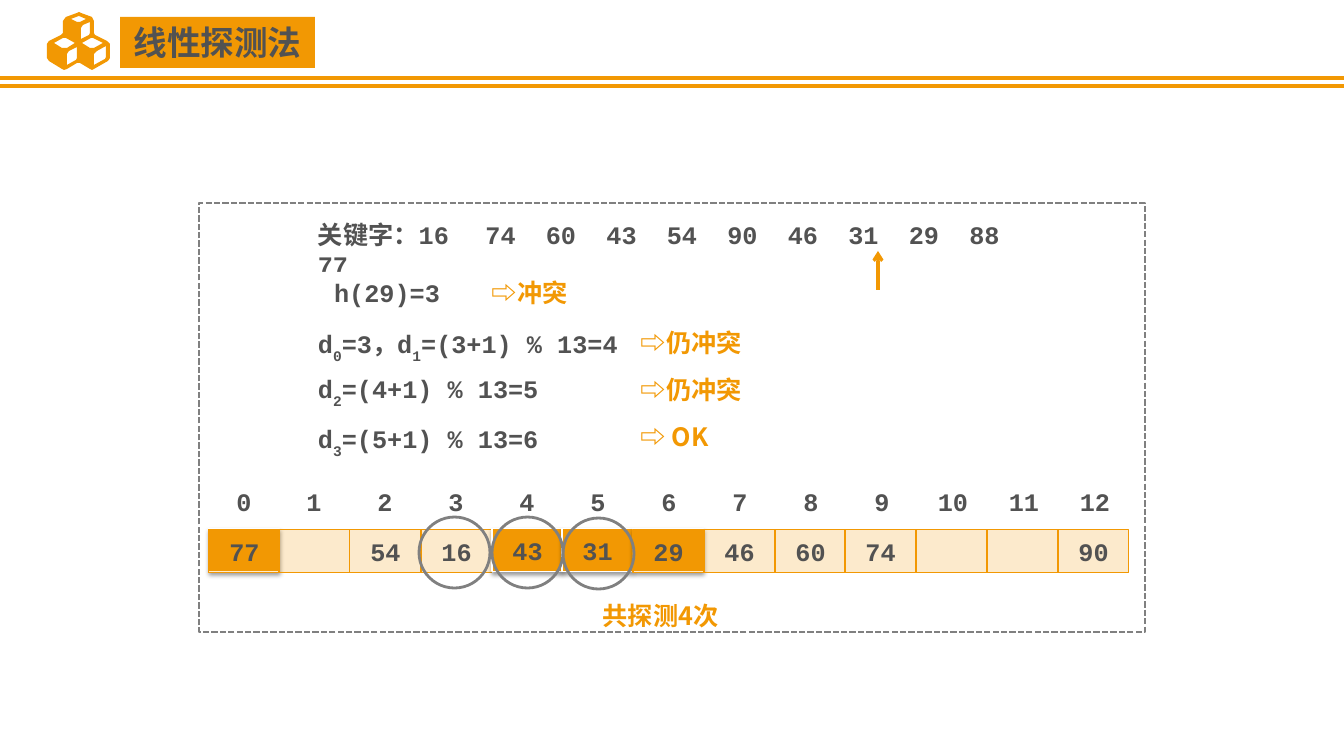
from lxml.etree import SubElement
from pptx import Presentation
from pptx.dml.color import RGBColor
from pptx.enum.dml import MSO_LINE
from pptx.enum.shapes import MSO_CONNECTOR, MSO_SHAPE
from pptx.enum.text import MSO_ANCHOR, MSO_AUTO_SIZE, PP_ALIGN
from pptx.oxml.ns import qn
from pptx.util import Pt

PX = 914400 / 100.8
ORANGE, GREY, RING, WHITE = "F29803", "525252", "808080", "FFFFFF"
MONO, HAN = "Courier New", "Noto Sans CJK SC"

# Content
TITLE = "线性探测法"
KEYS = "关键字：16\t74\t60\t43\t54\t90\t46\t31\t29\t88 77"
HASH = "h(29)=3"
TOTAL = "共探测4次"
SLOTS = ["77", "", "54", "16", "43", "31", "29", "46", "60", "74", "", "", "90"]
SOLID = [0, 4, 5, 6]    # strong orange cells
VEILED = [0, 6]         # strong cells under a pale one
# Every second piece is a subscript
STEPS = [
    (329, ["d", "0", "=3，d", "1", "=(3+1) % 13=4"]),
    (374, ["d", "2", "=(4+1) % 13=5"]),
    (424, ["d", "3", "=(5+1) % 13=6"]),
]
NOTES = [
    (482, 272, "⇨冲突"),
    (631, 322, "⇨仍冲突"),
    (631, 369, "⇨仍冲突"),
    (631, 416, "⇨ OK"),
]
RINGS = [(419, 517), (492, 517), (563, 518)]
RULES = [78, 86]
# Three stacked cubes: outline first, then the open faces
CUBES = [
    [(110, 44), (107, 41), (95, 35), (94, 33), (94, 21), (92, 17), (81, 13), (79, 12),
     (77, 13), (66, 17), (63, 21), (63, 33), (61, 35), (49, 41), (47, 44), (47, 58),
     (49, 61), (62, 69), (64, 70), (67, 69), (77, 63), (80, 63), (90, 69), (92, 70),
     (94, 69), (108, 61), (110, 58)],
    [(90, 33), (89, 35), (81, 39), (81, 28), (83, 25), (90, 22)],
    [(71, 19), (79, 16), (86, 19), (80, 22), (77, 22)],
    [(54, 43), (63, 38), (66, 38), (75, 43), (67, 48), (62, 48)],
    [(76, 60), (67, 65), (67, 54), (69, 51), (77, 47), (77, 58)],
    [(82, 43), (91, 38), (93, 38), (103, 43), (94, 48), (90, 48)],
    [(106, 57), (105, 59), (94, 65), (94, 54), (97, 51), (106, 46)],
]


def px(n):
    return round(n * PX)


def rgb(code):
    return RGBColor.from_string(code)


def write(shape, text, font=MONO, size=18, color=GREY, align=PP_ALIGN.LEFT,
          anchor=MSO_ANCHOR.TOP, wrap=True, inset=None, space=None, tabs=()):
    frame = shape.text_frame
    frame.auto_size = MSO_AUTO_SIZE.NONE
    frame.word_wrap = wrap
    frame.vertical_anchor = anchor
    if inset is not None:
        frame.margin_left = frame.margin_right = px(inset)
        frame.margin_top = frame.margin_bottom = px(inset)
    para = frame.paragraphs[0]
    para.alignment = align
    if space:
        para.line_spacing = space
    if tabs:
        stops = SubElement(para._p.get_or_add_pPr(), qn("a:tabLst"))
        for stop in tabs:
            SubElement(stops, qn("a:tab"), pos=str(px(stop)), algn="l")
    for i, piece in enumerate([text] if isinstance(text, str) else text):
        run = para.add_run()
        run.text = piece
        run.font.name, run.font.size, run.font.bold = font, Pt(size), True
        run.font.color.rgb = rgb(color)
        props = run._r.get_or_add_rPr()
        SubElement(props, qn("a:ea"), typeface=HAN)
        if i % 2:
            props.set("baseline", "-30000")


def paint(shape, fill=None, line=None, width=0.75, alpha=None):
    shape.shadow.inherit = False
    if fill:
        shape.fill.solid()
        shape.fill.fore_color.rgb = rgb(fill)
    else:
        shape.fill.background()
    if alpha:
        tint = shape._element.spPr.find(qn("a:solidFill"))[0]
        SubElement(tint, qn("a:alpha"), val=str(alpha * 1000))
    if line:
        shape.line.color.rgb = rgb(line)
        shape.line.width = Pt(width)
    else:
        shape.line.fill.background()


def draw(kind, x, y, w, h, **look):
    shape = shapes.add_shape(kind, px(x), px(y), px(w), px(h))
    paint(shape, **look)
    return shape


def label(x, y, w, h, text, **style):
    write(shapes.add_textbox(px(x), px(y), px(w), px(h)), text, **style)


def rule(x1, y1, x2, y2, width):
    line = shapes.add_connector(MSO_CONNECTOR.STRAIGHT, px(x1), px(y1), px(x2), px(y2))
    line.line.color.rgb = rgb(ORANGE)
    line.line.width = Pt(width)
    SubElement(line._element.spPr, qn("a:effectLst"))
    return line


def cell(i, strong, text):
    x = 209 + 849 * i // 12
    if strong:
        box = draw(MSO_SHAPE.RECTANGLE, x, 529, 71, 43, fill=ORANGE, line=WHITE)
        glow = box._element.spPr.find(qn("a:effectLst"))
        drop = SubElement(glow, qn("a:outerShdw"), blurRad="40000", dist="20000",
                          dir="5400000", rotWithShape="0")
        tint = SubElement(drop, qn("a:srgbClr"), val="000000")
        SubElement(tint, qn("a:alpha"), val="38000")
    else:
        box = draw(MSO_SHAPE.RECTANGLE, x, 530, 71, 43, fill=ORANGE, line=ORANGE, alpha=20)
    if text:
        write(box, text, align=PP_ALIGN.CENTER, anchor=MSO_ANCHOR.MIDDLE)


deck = Presentation()
deck.slide_width, deck.slide_height = px(1344), px(756)
slide = deck.slides.add_slide(deck.slide_layouts[5])
shapes = slide.shapes

# Header
title = shapes.title
title.left, title.top, title.width, title.height = px(120), px(17), px(195), px(51)
title.fill.solid()
title.fill.fore_color.rgb = rgb(ORANGE)
write(title, TITLE, font=HAN, size=24, align=PP_ALIGN.CENTER,
      anchor=MSO_ANCHOR.MIDDLE, wrap=False)
for y in RULES:
    rule(0, y, 1344, y, 3)
pen = shapes.build_freeform(*CUBES[0][0], scale=PX)
for face in CUBES:
    pen.move_to(*face[0])
    pen.add_line_segments(face[1:], close=True)
paint(pen.convert_to_shape(), fill=ORANGE)

# Hash table
for i, key in enumerate(SLOTS):
    cell(i, i in SOLID, "" if i in VEILED else key)
    label(223 + 851 * i // 12, 486, 42, 30, str(i), align=PP_ALIGN.CENTER, inset=0)
for i in VEILED:
    cell(i, False, SLOTS[i])
for x, y in RINGS:
    draw(MSO_SHAPE.OVAL, x, y, 71, 71, line=RING, width=2)

# Keys and probing steps
label(308, 214, 734, 40, KEYS, tabs=[107 + 121 * k / 2 for k in range(1, 10)])
start = draw(MSO_SHAPE.RECTANGLE, 292, 272, 190, 40, fill=WHITE)
write(start, HASH, align=PP_ALIGN.CENTER)
for y, parts in STEPS:
    label(308, y, 425, 32, parts, space=0.7)
for x, y, text in NOTES:
    label(x, y, 142, 40, text, font=HAN, color=ORANGE)
label(562, 595, 197, 40, TOTAL, font=HAN, color=ORANGE, align=PP_ALIGN.CENTER)

# Arrow at the current key
arrow = rule(878, 290, 878, 251, 2.25)
SubElement(arrow.line._get_or_add_ln(), qn("a:tailEnd"), type="arrow")

# Dashed frame
border = draw(MSO_SHAPE.RECTANGLE, 199, 203, 946, 429, line=RING, width=1.5)
border.line.dash_style = MSO_LINE.SQUARE_DOT

deck.save("out.pptx")
